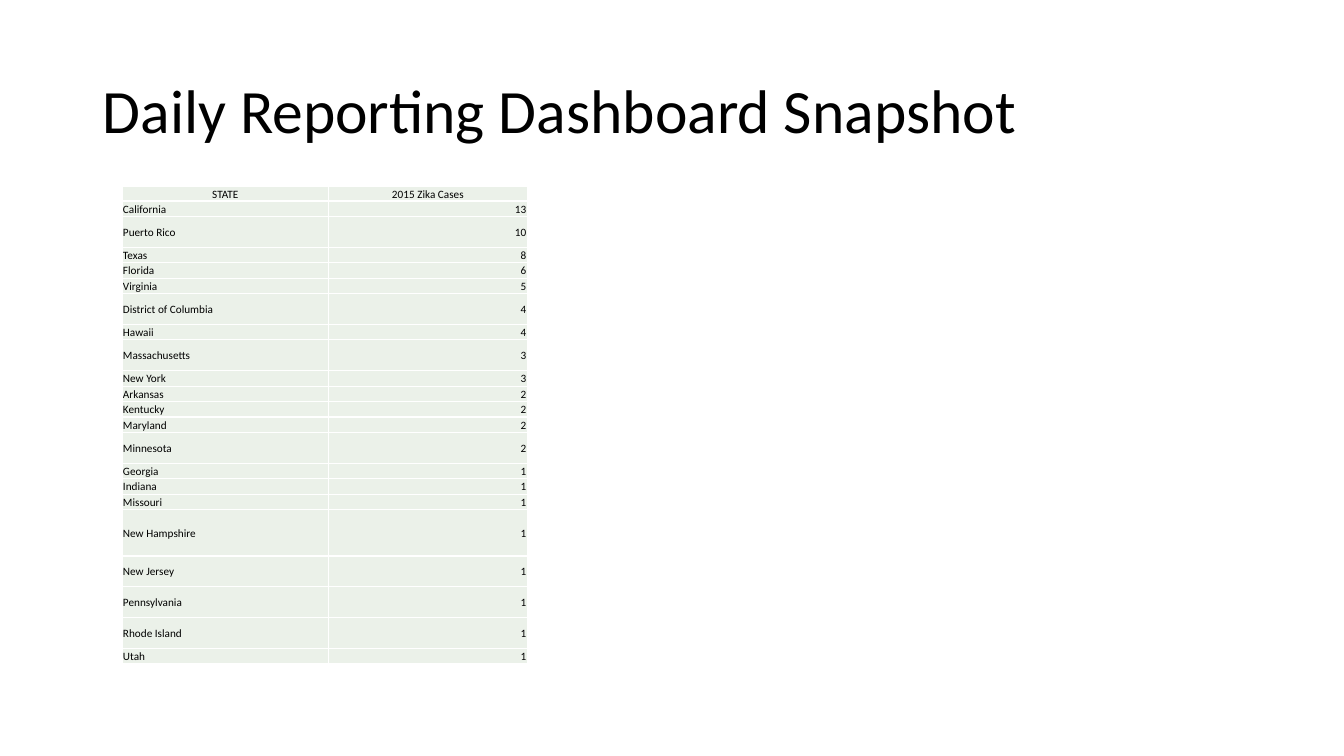
"""Build a slide with a table of 2015 Zika cases by state."""
from lxml import etree
from pptx import Presentation
from pptx.dml.color import RGBColor
from pptx.enum.text import MSO_ANCHOR, PP_ALIGN
from pptx.oxml.ns import qn
from pptx.util import Inches, Pt

LEFT, CENTER, RIGHT = PP_ALIGN.LEFT, PP_ALIGN.CENTER, PP_ALIGN.RIGHT
MIDDLE, BOTTOM = MSO_ANCHOR.MIDDLE, MSO_ANCHOR.BOTTOM

TITLE = "Daily Reporting Dashboard Snapshot"
HEADER = ("STATE", "2015 Zika Cases")
STATE_CASES_LINES = [
    ("California", 13, 1),
    ("Puerto Rico", 10, 2),
    ("Texas", 8, 1),
    ("Florida", 6, 1),
    ("Virginia", 5, 1),
    ("District of Columbia", 4, 2),
    ("Hawaii", 4, 1),
    ("Massachusetts", 3, 2),
    ("New York", 3, 1),
    ("Arkansas", 2, 1),
    ("Kentucky", 2, 1),
    ("Maryland", 2, 1),
    ("Minnesota", 2, 2),
    ("Georgia", 1, 1),
    ("Indiana", 1, 1),
    ("Missouri", 1, 1),
    ("New Hampshire", 1, 3),
    ("New Jersey", 1, 2),
    ("Pennsylvania", 1, 2),
    ("Rhode Island", 1, 2),
    ("Utah", 1, 1),
]
COLORS = {"text": "000000", "cell": "EBF1E9", "border": "FFFFFF"}
FONT = "Calibri"
TABLE_LEFT, TABLE_TOP = 1.21, 1.85
COLUMN_WIDTHS = (2.05, 1.97)
HEADER_HEIGHT, BODY_HEIGHT = 0.14, 4.6
INSET = Inches(0.01)


def add_span(para, text, size):
    span = para.add_run()
    span.text = text
    span.font.name = FONT
    span.font.size = Pt(size)
    span.font.color.rgb = RGBColor.from_string(COLORS["text"])


def add_title(page):
    box = page.shapes.add_textbox(Inches(0.92), Inches(0.4), Inches(11.5), Inches(1.45))
    frame = box.text_frame
    frame.word_wrap = True
    frame.vertical_anchor = MIDDLE
    para = frame.paragraphs[0]
    para.line_spacing = 0.9
    add_span(para, TITLE, 44)


def add_borders(cell):
    properties = cell._tc.get_or_add_tcPr()
    for index, side in enumerate(("lnL", "lnR", "lnT", "lnB")):
        line = etree.Element(qn(f"a:{side}"), w=str(Pt(1)))
        fill = etree.SubElement(line, qn("a:solidFill"))
        etree.SubElement(fill, qn("a:srgbClr"), val=COLORS["border"])
        properties.insert(index, line)


def fill_cell(cell, text, alignment, anchor):
    cell.margin_left = cell.margin_right = cell.margin_top = INSET
    cell.margin_bottom = 0
    cell.vertical_anchor = anchor
    cell.fill.solid()
    cell.fill.fore_color.rgb = RGBColor.from_string(COLORS["cell"])
    add_borders(cell)
    para = cell.text_frame.paragraphs[0]
    para.alignment = alignment
    add_span(para, text, 8)


def add_case_table(page):
    line_height = BODY_HEIGHT / sum(lines for _, _, lines in STATE_CASES_LINES)
    rows = [(HEADER, HEADER_HEIGHT, (CENTER, CENTER), BOTTOM)]
    rows += [
        ((state, str(cases)), lines * line_height, (LEFT, RIGHT), MIDDLE)
        for state, cases, lines in STATE_CASES_LINES
    ]
    table = page.shapes.add_table(
        len(rows), len(COLUMN_WIDTHS), Inches(TABLE_LEFT), Inches(TABLE_TOP),
        Inches(sum(COLUMN_WIDTHS)), Inches(HEADER_HEIGHT + BODY_HEIGHT),
    ).table
    table.first_row = table.horz_banding = False
    for column, width in zip(table.columns, COLUMN_WIDTHS):
        column.width = Inches(width)
    for row, (texts, height, alignments, anchor) in zip(table.rows, rows):
        row.height = Inches(height)
        for cell, text, alignment in zip(row.cells, texts, alignments):
            fill_cell(cell, text, alignment, anchor)


def main():
    deck = Presentation()
    deck.slide_width, deck.slide_height = Inches(13.33), Inches(7.5)
    page = deck.slides.add_slide(deck.slide_layouts[6])
    add_title(page)
    add_case_table(page)
    deck.save("out.pptx")


if __name__ == "__main__":
    main()
